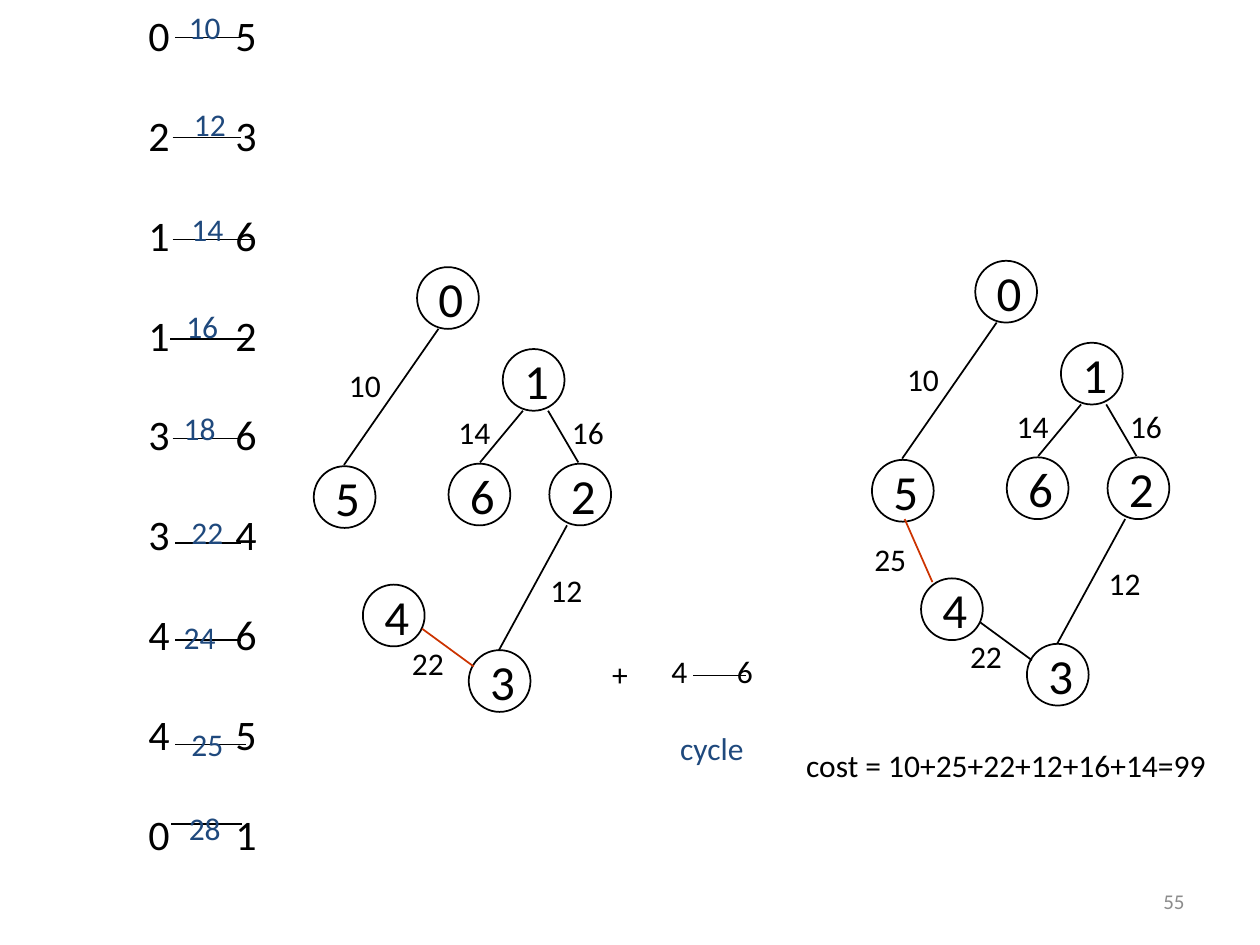
from lxml import etree
from pptx import Presentation
from pptx.dml.color import RGBColor
from pptx.enum.shapes import MSO_CONNECTOR, MSO_SHAPE
from pptx.enum.text import MSO_ANCHOR, PP_ALIGN
from pptx.oxml.ns import qn
from pptx.util import Inches, Pt

LINE, OVAL = MSO_CONNECTOR.STRAIGHT, MSO_SHAPE.OVAL
TOP, MIDDLE = MSO_ANCHOR.TOP, MSO_ANCHOR.MIDDLE
LEFT, RIGHT = PP_ALIGN.LEFT, PP_ALIGN.RIGHT
FONT = "Calibri"
BLACK, WHITE, BLUE, RED, GREY = "000000", "FFFFFF", "1F497D", "CC3300", "8C8C8C"
NODE = 0.49             # vertex diameter
LABEL = (0.48, 0.43)    # weight label size

# Sorted edges: ends, weight, line (left, right, y), weight label (left, top)
SORTED_EDGES = [
    ("0\t5", "10", (1.39, 1.91, 0.30), (1.40, 0.00)),
    ("2\t3", "12", (1.37, 1.91, 1.09), (1.44, 0.77)),
    ("1\t6", "14", (1.37, 1.99, 1.90), (1.42, 1.60)),
    ("1\t2", "16", (1.35, 1.97, 2.69), (1.38, 2.37)),
    ("3\t6", "18", (1.37, 1.91, 3.48), (1.36, 3.18)),
    ("3\t4", "22", (1.39, 1.91, 4.31), (1.42, 4.01)),
    ("4\t6", "24", (1.39, 1.91, 5.08), (1.36, 4.84)),
    ("4\t5", "25", (1.39, 1.95, 5.91), (1.42, 5.69)),
    ("0\t1", "28", (1.36, 1.92, 6.54), (1.40, 6.36)),
]

# Vertices 0 to 6 (left, top) and tree edges: from, to, weight, label corner
VERTICES = [(3.31, 2.12), (3.99, 2.77), (4.36, 3.68), (3.72, 5.16),
            (2.88, 4.64), (2.49, 3.70), (3.56, 3.68)]
TREE_EDGES = [
    ((3.48, 2.61), (2.73, 3.69), "10", (2.67, 2.86)),
    ((4.50, 4.17), (3.96, 5.16), "12", (4.27, 4.48)),
    ((4.15, 3.26), (3.81, 3.67), "14", (3.54, 3.23)),
    ((4.35, 3.26), (4.59, 3.67), "16", (4.44, 3.23)),
    ((3.35, 4.99), (3.76, 5.29), "22", (3.17, 5.06)),
]
LAST_EDGE = ((2.75, 4.17), (2.97, 4.67), "25", (2.41, 4.29))

# Each tree: shift from the first one, edges; the newest edge is red
TREES = [((0, 0), TREE_EDGES), ((4.43, -0.05), TREE_EDGES + [LAST_EDGE])]

# Remarks: text, (left, top, width, height), colour
REMARKS = [
    ("cycle", (5.30, 5.72, 0.79, 0.43), BLUE),
    ("+", (4.76, 5.13, 0.36, 0.43), BLACK),
    ("cost = 10+25+22+12+16+14=99", (6.30, 5.87, 3.41, 0.40), BLACK),
]


def rgb(value):
    return RGBColor.from_string(value)


def style(p, size, color, align=LEFT):
    p.alignment = align
    for r in p.runs:
        r.font.name, r.font.size = FONT, Pt(size)
        r.font.color.rgb = rgb(color)


def add_text(s, text, box, color=BLACK, size=18, anchor=MIDDLE,
             align=LEFT, wrap=False, tab=None):
    tf = s.shapes.add_textbox(*map(Inches, box)).text_frame
    tf.word_wrap, tf.vertical_anchor = wrap, anchor
    tf.text = text
    for p in tf.paragraphs:
        if tab:
            tabs = etree.SubElement(p._p.get_or_add_pPr(), qn("a:tabLst"))
            etree.SubElement(tabs, qn("a:tab"), pos=str(Inches(tab)), algn="l")
        style(p, size, color, align)
    return tf


def add_line(s, start, end, color=BLACK, width=1):
    c = s.shapes.add_connector(LINE, *map(Inches, start + end))
    c.line.color.rgb, c.line.width = rgb(color), Pt(width)
    etree.SubElement(c._element.spPr, qn("a:effectLst"))


def add_vertex(group, number, left, top):
    sp = group.shapes.add_shape(OVAL, *map(Inches, (left, top, NODE, NODE)))
    sp.shadow.inherit = False
    sp.fill.solid()
    sp.fill.fore_color.rgb = rgb(WHITE)
    sp.line.color.rgb, sp.line.width = rgb(BLACK), Pt(1)
    tf = sp.text_frame
    tf.word_wrap, tf.vertical_anchor = False, MIDDLE
    tf.text = str(number)
    style(tf.paragraphs[0], 28, BLACK)


def add_tree(s, shift, edges):
    def moved(point):
        return (point[0] + shift[0], point[1] + shift[1])

    group = s.shapes.add_group_shape()
    for number, corner in enumerate(VERTICES):
        add_vertex(group, number, *moved(corner))
    for start, end, weight, corner in edges:
        color = RED if weight == edges[-1][2] else BLACK
        add_line(s, moved(start), moved(end), color)
        add_text(s, weight, moved(corner) + LABEL, anchor=TOP)


def main():
    prs = Presentation()
    prs.slide_width, prs.slide_height = Inches(10), Inches(7.5)
    s = prs.slides.add_slide(prs.slide_layouts[6])

    # Slide number
    add_text(s, "55", (7.17, 6.95, 2.33, 0.4), GREY, 12, align=RIGHT, wrap=True)

    # Edges sorted by weight
    pairs = "\n".join(edge[0] for edge in SORTED_EDGES)
    tf = add_text(s, pairs, (1.08, 0, 1.12, 6.89), size=24, wrap=True, tab=0.69)
    for p in tf.paragraphs[1:]:
        p.space_before = Pt(28.3)
    for _, _, (left, right, y), _ in SORTED_EDGES:
        add_line(s, (left, y), (right, y), width=0.75)
    for _, weight, _, corner in SORTED_EDGES:
        add_text(s, weight, corner + LABEL, BLUE)

    # Spanning trees
    for shift, edges in TREES:
        add_tree(s, shift, edges)

    # Rejected edge and remarks
    add_text(s, "4\t6", (5.23, 5.11, 0.97, 0.43), wrap=True, tab=0.52)
    add_line(s, (5.5, 5.36), (5.92, 5.36), width=0.75)
    for text, box, color in REMARKS:
        add_text(s, text, box, color)

    prs.save("out.pptx")


if __name__ == "__main__":
    main()
